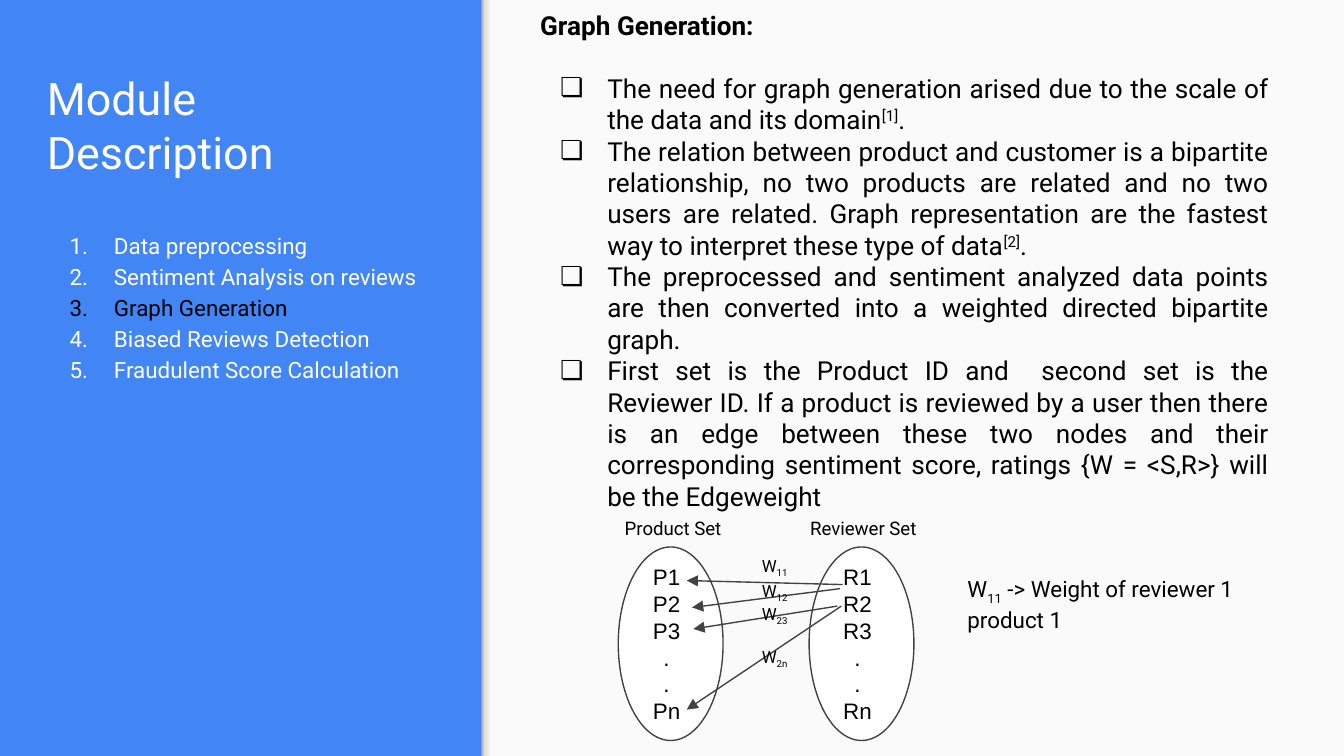
from lxml import etree
from pptx import Presentation
from pptx.dml.color import RGBColor
from pptx.enum.shapes import MSO_CONNECTOR, MSO_SHAPE
from pptx.enum.text import MSO_ANCHOR, PP_ALIGN
from pptx.oxml.ns import qn
from pptx.util import Inches, Pt

RECTANGLE, OVAL = MSO_SHAPE.RECTANGLE, MSO_SHAPE.OVAL
STRAIGHT = MSO_CONNECTOR.STRAIGHT
TOP, MIDDLE, BOTTOM = MSO_ANCHOR.TOP, MSO_ANCHOR.MIDDLE, MSO_ANCHOR.BOTTOM
LEFT, CENTER, JUSTIFY = PP_ALIGN.LEFT, PP_ALIGN.CENTER, PP_ALIGN.JUSTIFY

WIDTH, HEIGHT = Inches(10), Inches(5.625)
BLUE, PANEL, WHITE, BLACK, GREY = "4285F4", "FAFAFA", "FFFFFF", "000000", "424242"
SHADOW_STOPS = [(0, "999999"), (20, "DEDEDE"), (64, "F9F9F9"), (100, "F9F9F9")]
SUPER, SUB = 30, -25

MODULES = ["Data preprocessing", "Sentiment Analysis on reviews", "Graph Generation",
           "Biased Reviews Detection", "Fraudulent Score Calculation"]
CURRENT_MODULE = "Graph Generation"
POINTS = [
    [("The need for graph generation arised due to the scale of the data and its domain", 0),
     ("[1]", SUPER), (".", 0)],
    [("The relation between product and customer is a bipartite relationship, no two "
      "products are related and no two users are related. Graph representation are the "
      "fastest way to interpret these type of data", 0), ("[2]", SUPER), (".", 0)],
    [("The preprocessed and sentiment analyzed data points are then converted into a "
      "weighted directed bipartite graph.", 0)],
    [("First set is the Product ID and  second set is the Reviewer ID. If a product is "
      "reviewed by a user then there is an edge between these two nodes and their "
      "corresponding sentiment score, ratings {W = <S,R>} will be the Edgeweight", 0)],
]
# Name, node letter, oval left, label left, label width
NODE_SETS = [("Product Set", "P", 46, 45.5, 9.7), ("Reviewer Set", "R", 60.2, 59.3, 11.3)]
# Start and end of each edge, in percent of the slide
EDGES = [(62.7, 77.33, 51.1, 76.8), (62.5, 77.87, 51.5, 80.36),
         (62.6, 80.18, 51.1, 93.87), (62.3, 80.18, 51.6, 83.2)]


def rgb(value):
    return RGBColor.from_string(value)


def place(*percents):
    """Turn alternating horizontal and vertical percentages into lengths."""
    return [round(side * share / 100)
            for side, share in zip((WIDTH, HEIGHT) * 2, percents)]


def weight(index):
    return [("W", 0), (index, SUB)]


def add_panel(page, area, color=None, stops=()):
    panel = page.shapes.add_shape(RECTANGLE, *place(*area))
    panel.shadow.inherit = False
    panel.line.fill.background()
    if color:
        panel.fill.solid()
        panel.fill.fore_color.rgb = rgb(color)
        return
    panel.fill.gradient()
    panel.fill.gradient_angle = 0
    stop_list = panel._element.spPr.find(".//" + qn("a:gsLst"))
    for stop in list(stop_list):
        stop_list.remove(stop)
    for position, stop_color in stops:
        stop = etree.SubElement(stop_list, qn("a:gs"), pos=str(position * 1000))
        etree.SubElement(stop, qn("a:srgbClr"), val=stop_color)


def set_frame(frame, anchor=TOP):
    frame.word_wrap = True
    frame.vertical_anchor = anchor
    frame.margin_left = frame.margin_right = Inches(0.1)
    frame.margin_top = frame.margin_bottom = Inches(0.1)
    return frame


def add_text_box(page, area, anchor=TOP):
    return set_frame(page.shapes.add_textbox(*place(*area)).text_frame, anchor)


def set_bullet(para, color, hanging, char=None):
    """Hang a bullet character, or a running number if none is given."""
    props = para._p.get_or_add_pPr()
    props.set("marL", str(Inches(0.5)))
    props.set("indent", str(-Inches(hanging)))
    bullet_color = etree.SubElement(props, qn("a:buClr"))
    etree.SubElement(bullet_color, qn("a:srgbClr"), val=color)
    etree.SubElement(props, qn("a:buFont"), typeface="Roboto")
    if char:
        etree.SubElement(props, qn("a:buChar"), char=char)
    else:
        etree.SubElement(props, qn("a:buAutoNum"), type="arabicPeriod")


def add_para(frame, content, size, color=BLACK, font="Roboto", bold=False,
             align=LEFT, before=0, spacing=1.0):
    """Append a paragraph given as a string or as (text, baseline) spans."""
    first = frame.paragraphs[0]
    para = frame.add_paragraph() if first.runs else first
    para.alignment = align
    para.space_before = Pt(before)
    para.line_spacing = spacing
    for text, baseline in [(content, 0)] if isinstance(content, str) else content:
        span = para.add_run()
        span.text = text
        span.font.name, span.font.size, span.font.bold = font, Pt(size), bold
        span.font.color.rgb = rgb(color)
        if baseline:
            span._r.get_or_add_rPr().set("baseline", str(baseline * 1000))
    return para


def add_node_set(page, left, letter):
    oval = page.shapes.add_shape(OVAL, *place(left, 72.36, 7.8, 25.6))
    oval.shadow.inherit = False
    oval.fill.solid()
    oval.fill.fore_color.rgb = rgb(WHITE)
    oval.line.color.rgb = rgb(GREY)
    oval.line.width = Pt(0.75)
    frame = set_frame(oval.text_frame, MIDDLE)
    frame.margin_left, frame.margin_right = Inches(0.07), Inches(0.13)
    for node in [letter + "1", letter + "2", letter + "3", ".", ".", letter + "n"]:
        add_para(frame, node, 12, font="Arial", align=CENTER)


def add_edge(page, ends):
    edge = page.shapes.add_connector(STRAIGHT, *place(*ends))
    edge.line.color.rgb = rgb(GREY)
    edge.line.width = Pt(0.75)
    etree.SubElement(edge.line._get_or_add_ln(), qn("a:tailEnd"), type="triangle")
    etree.SubElement(edge._element.spPr, qn("a:effectLst"))


def add_sidebar(page):
    title = add_text_box(page, (2.5, 6.93, 30.7, 18.49), BOTTOM)
    add_para(title, "Module Description", 24, WHITE)
    modules = add_text_box(page, (2.5, 28.44, 30.7, 61.5))
    for module in MODULES:
        color = BLACK if module == CURRENT_MODULE else WHITE
        set_bullet(add_para(modules, module, 12, color, spacing=1.15), color, 0.33)


def add_explanation(page):
    frame = add_text_box(page, (39.2, -0.53, 56.2, 70.58))
    add_para(frame, "Graph Generation:", 14, bold=True)
    for number, point in enumerate(POINTS):
        para = add_para(frame, point, 14, align=JUSTIFY, before=0 if number else 16.8)
        set_bullet(para, BLACK, 0.35, "❏")


def add_graph(page):
    for name, letter, oval_left, label_left, label_width in NODE_SETS:
        add_node_set(page, oval_left, letter)
        add_para(add_text_box(page, (label_left, 66.84, label_width, 6.58)), name, 10)
    for ends in EDGES:
        add_edge(page, ends)
    add_para(add_text_box(page, (55.7, 72, 4, 6.22)), weight("11"), 9)
    weights = add_text_box(page, (55.7, 75.02, 4, 14.4))
    for index, before in [("12", 0), ("23", 0), ("2n", 10.8)]:
        add_para(weights, weight(index), 9, before=before)
    legend = weight("11") + [(" -> Weight of reviewer 1 product 1", 0)]
    add_para(add_text_box(page, (71, 74.31, 23.4, 10.84)), legend, 12)


def main():
    deck = Presentation()
    deck.slide_width, deck.slide_height = WIDTH, HEIGHT
    page = deck.slides.add_slide(deck.slide_layouts[6])
    page.background.fill.solid()
    page.background.fill.fore_color.rgb = rgb(BLUE)
    add_panel(page, (35.8, 0, 64.2, 100), PANEL)
    add_panel(page, (35.8, 0, 1.2, 100), stops=SHADOW_STOPS)
    add_sidebar(page)
    add_explanation(page)
    add_graph(page)
    deck.save("out.pptx")


if __name__ == "__main__":
    main()
